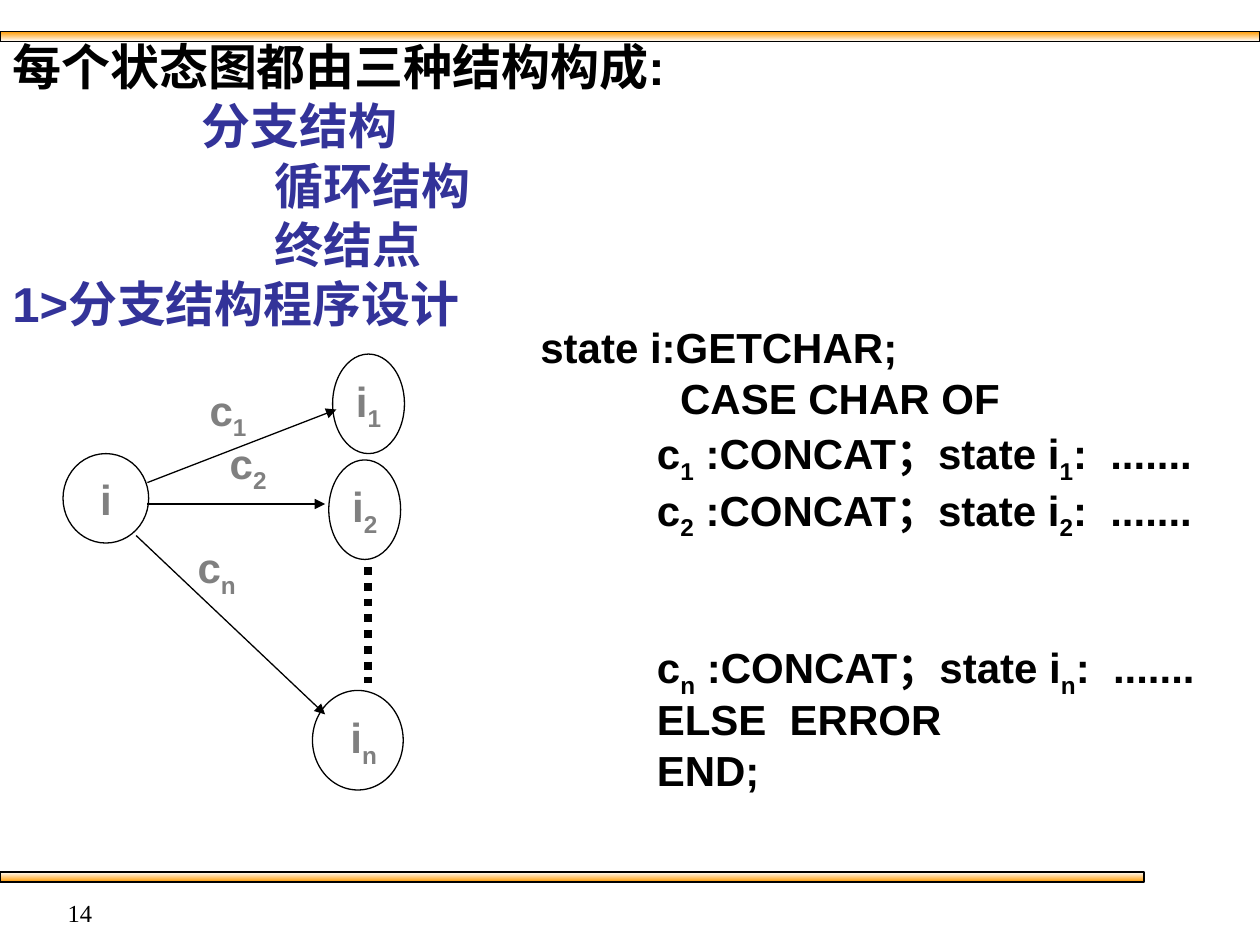
from lxml import etree
from pptx import Presentation
from pptx.dml.color import RGBColor
from pptx.enum.dml import MSO_LINE
from pptx.enum.shapes import MSO_CONNECTOR, MSO_SHAPE
from pptx.enum.text import MSO_ANCHOR, PP_ALIGN
from pptx.oxml.ns import qn
from pptx.util import Inches, Pt

CENTER, RIGHT = PP_ALIGN.CENTER, PP_ALIGN.RIGHT
MIDDLE = MSO_ANCHOR.MIDDLE
RECTANGLE, OVAL = MSO_SHAPE.RECTANGLE, MSO_SHAPE.OVAL
STRAIGHT = MSO_CONNECTOR.STRAIGHT
DOTTED = MSO_LINE.ROUND_DOT

BLACK, WHITE, ORANGE = "000000", "FFFFFF", "FF9900"
BLUE, GRAY = "333399", "808080"


def color(value):
    return RGBColor.from_string(value)


class StateSlide:
    font = "Arial"
    label_size = 24

    def __init__(self, page):
        self.page = page

    def fill_para(self, para, text, size, ink=BLACK, bold=True, font=None):
        """Set text in which an underscore lowers the next character."""
        first, *rest = text.split("_")
        pieces = [(first, False)]
        for part in rest:
            pieces += [(part[0], True), (part[1:], False)]
        for piece, lowered in pieces:
            if piece:
                span = para.add_run()
                span.text = piece
                if lowered:
                    span.font._element.set("baseline", "-25000")
        para.font.name = font or self.font
        para.font.size = Pt(size)
        para.font.bold = bold
        para.font.color.rgb = color(ink)

    def text(self, place, lines, size, align=None, spacing=None, wrap=True,
             bold=True, font=None):
        """Add a box; each line is (text, colour, indent, space before)."""
        box = self.page.shapes.add_textbox(*map(Inches, place))
        frame = box.text_frame
        frame.word_wrap = wrap
        for index, (text, ink, indent, before) in enumerate(lines):
            para = frame.add_paragraph() if index else frame.paragraphs[0]
            para.alignment = align
            if spacing:
                para.line_spacing = spacing
            if index:
                para.space_before = Pt(before)
            if indent:
                para._p.get_or_add_pPr().set("marL", str(Inches(indent)))
            self.fill_para(para, text, size, ink, bold, font)

    def shape(self, kind, place):
        shape = self.page.shapes.add_shape(kind, *map(Inches, place))
        shape.shadow.inherit = False
        shape.line.color.rgb = color(BLACK)
        shape.line.width = Pt(0.75)
        return shape

    def bar(self, top, width, top_color, bottom_color):
        fill = self.shape(RECTANGLE, (0, top, width, 0.08)).fill
        fill.gradient()
        fill.gradient_angle = 270
        for stop, position, tint in zip(fill.gradient_stops, (0, 1),
                                        (top_color, bottom_color)):
            stop.position = position
            stop.color.rgb = color(tint)

    def state(self, place, label):
        oval = self.shape(OVAL, place)
        oval.fill.background()
        frame = oval.text_frame
        frame.word_wrap = False
        frame.vertical_anchor = MIDDLE
        para = frame.paragraphs[0]
        para.alignment = CENTER
        self.fill_para(para, label, self.label_size, GRAY)

    def label(self, left, top, text):
        self.text((left, top, 0.5, 0.56), [(text, GRAY, 0, 0)],
                  self.label_size, align=CENTER, wrap=False)

    def line(self, start, end, width=0.75, dash=None, arrow=True):
        line = self.page.shapes.add_connector(
            STRAIGHT, *map(Inches, (*start, *end)))
        line.line.color.rgb = color(BLACK)
        line.line.width = Pt(width)
        if dash:
            line.line.dash_style = dash
        if arrow:
            etree.SubElement(line.line._get_or_add_ln(), qn("a:tailEnd"),
                             type="triangle")
        etree.SubElement(line._element.spPr, qn("a:effectLst"))


def main():
    deck = Presentation()
    deck.slide_width, deck.slide_height = Inches(10), Inches(7.5)
    slide = StateSlide(deck.slides.add_slide(deck.slide_layouts[6]))

    # Bars at the top and bottom
    slide.bar(0.25, 10, ORANGE, WHITE)
    slide.bar(6.92, 9.08, WHITE, ORANGE)

    # The three structures
    slide.text((0, 0.33, 9.67, 2.5), [
        ("每个状态图都由三种结构构成:", BLACK, 0, 0),
        ("分支结构", BLUE, 1.5, 7),
        ("循环结构", BLUE, 2.08, 7),
        ("终结点", BLUE, 2.08, 7),
        ("1>分支结构程序设计", BLUE, 0, 7),
    ], 28, spacing=0.8)

    # State diagram
    slide.state((0.5, 3.6, 0.68, 0.71), "i")
    slide.state((2.61, 3.65, 0.57, 0.79), "i_2")
    slide.state((2.64, 2.81, 0.57, 0.79), "i_1")
    slide.state((2.48, 5.48, 0.72, 0.79), " i_n")
    slide.line((1.17, 3.83), (2.67, 3.25))
    slide.line((1.17, 4), (2.58, 4))
    slide.line((1.08, 4.25), (2.58, 5.67))
    slide.line((2.92, 4.5), (2.92, 5.42), 4.5, DOTTED, arrow=False)
    slide.label(1.56, 3, "c_1")
    slide.label(1.72, 3.42, "c_2")
    slide.label(1.47, 4.25, "c_n")

    # Program for the branch structure
    branches = [(f"          c_{key} :CONCAT；state i_{key}:  .......",
                 BLACK, 0, before)
                for key, before in (("1", 6), ("2", 6), ("n", 64))]
    slide.text((4.19, 2.58, 5.58, 3.78), [
        ("state i:GETCHAR;", BLACK, 0, 0),
        ("            CASE CHAR OF", BLACK, 0, 6),
        *branches,
        ("          ELSE  ERROR", BLACK, 0, 6),
        ("          END;", BLACK, 0, 6),
    ], 24, spacing=0.8, wrap=False)

    # Page number
    slide.text((0, 7.08, 0.83, 0.25), [("14", BLACK, 0, 0)], 14,
               align=RIGHT, bold=False, font="Times New Roman")

    deck.save("out.pptx")


if __name__ == "__main__":
    main()
